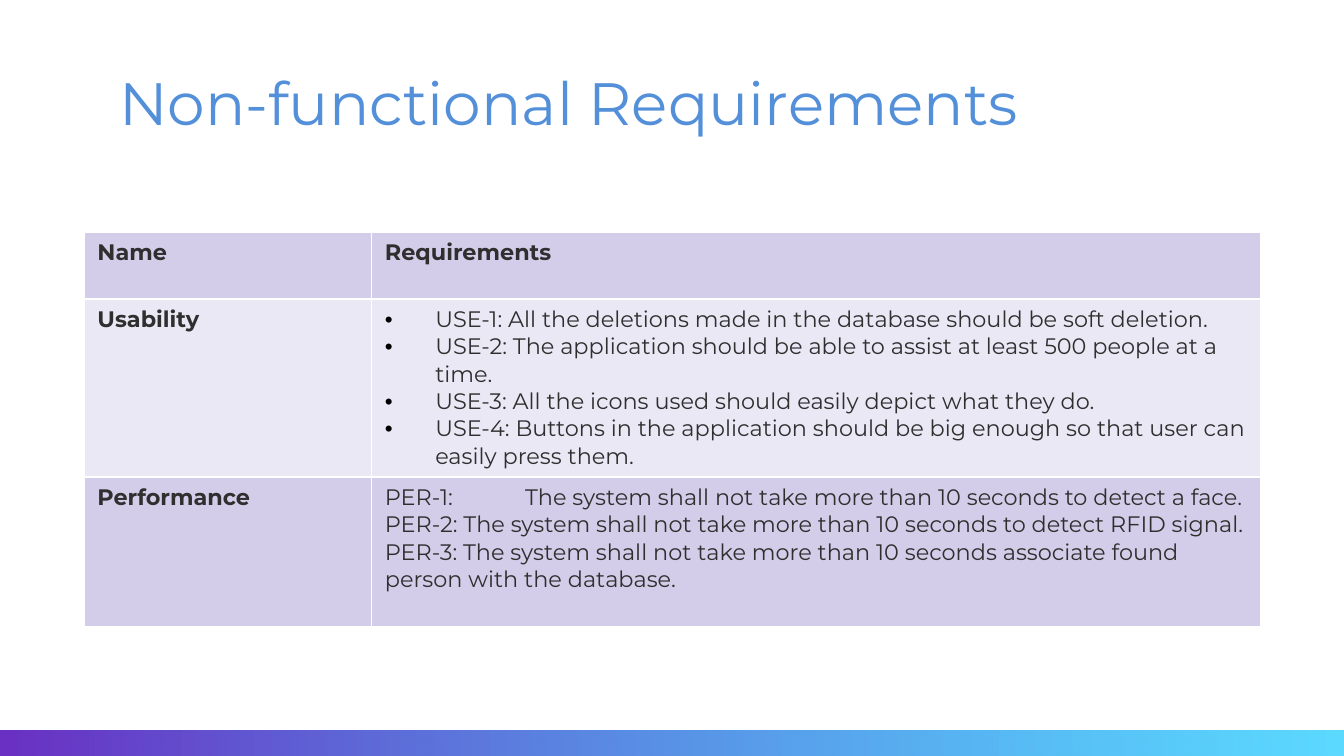
from dataclasses import dataclass

from lxml.etree import SubElement
from pptx import Presentation
from pptx.dml.color import RGBColor as RGB
from pptx.enum.shapes import MSO_SHAPE as Shape
from pptx.enum.text import MSO_ANCHOR as Anchor
from pptx.oxml.ns import qn
from pptx.util import Pt


@dataclass(frozen=True)
class Theme:
    font: str = "Montserrat"
    title_size: int = 32
    body_size: int = 12
    title: str = "5390D9"
    text: str = "2F2F2F"
    bullet: str = "000000"
    bands: tuple = ("D4CDE9", "EBE8F5")
    border: str = "FFFFFF"
    bar_start: str = "6930C3"
    bar_end: str = "00C4FF"
    bar_end_opacity: int = 64


THEME = Theme()
SLIDE_WIDTH, SLIDE_HEIGHT = 720, 405
COLUMN_WIDTHS = (154, 476.6)
ROW_HEIGHTS = (36, 95.4, 80)
BULLET_INDENT = 27

# Each row: name, requirement lines, whether the lines are bulleted
ROWS = (
    ("Name", ("Requirements",), False),
    ("Usability", (
        "USE-1: All the deletions made in the database should be soft deletion.",
        "USE-2: The application should be able to assist at least 500 people at a time.",
        "USE-3: All the icons used should easily depict what they do.",
        "USE-4: Buttons in the application should be big enough so that user can easily press them.",
    ), True),
    ("Performance", (
        "PER-1:\t The system shall not take more than 10 seconds to detect a face.",
        "PER-2: The system shall not take more than 10 seconds to detect RFID signal.",
        "PER-3: The system shall not take more than 10 seconds associate found person with the database.",
    ), False),
)


def add_run(paragraph, text, size, color, bold=False):
    run = paragraph.add_run()
    run.text = text
    run.font.name = THEME.font
    run.font.size = Pt(size)
    run.font.bold = bold
    run.font.color.rgb = RGB.from_string(color)


def add_bottom_bar(slide):
    height = 13.7
    bar = slide.shapes.add_shape(
        Shape.RECTANGLE, 0, Pt(SLIDE_HEIGHT - height), Pt(SLIDE_WIDTH), Pt(height))
    bar.shadow.inherit = False
    bar.line.fill.background()
    bar.fill.gradient()
    bar.fill.gradient_angle = 0
    for stop, color in zip(bar.fill.gradient_stops, (THEME.bar_start, THEME.bar_end)):
        stop.color.rgb = RGB.from_string(color)
    end_color = list(bar._element.spPr.iter(qn("a:srgbClr")))[-1]
    SubElement(end_color, qn("a:alpha"), val=str(THEME.bar_end_opacity * 1000))


def add_title(slide, text):
    frame = slide.shapes.add_textbox(Pt(56.9), Pt(28.1), Pt(607), Pt(48.2)).text_frame
    frame.word_wrap = True
    frame.vertical_anchor = Anchor.TOP
    frame.margin_left = frame.margin_right = Pt(7.2)
    frame.margin_top = frame.margin_bottom = Pt(7.2)
    add_run(frame.paragraphs[0], text, THEME.title_size, THEME.title)


def add_bullet(paragraph):
    properties = paragraph._p.get_or_add_pPr()
    indent = Pt(BULLET_INDENT)
    properties.set("marL", str(indent))
    properties.set("indent", str(-indent))
    color = SubElement(properties, qn("a:buClr"))
    SubElement(color, qn("a:srgbClr"), val=THEME.bullet)
    SubElement(properties, qn("a:buFont"), typeface="Arial")
    SubElement(properties, qn("a:buChar"), char="•")


def style_cell(cell, color):
    """Add the borders, then the fill, in the order the format requires."""
    properties = cell._tc.get_or_add_tcPr()
    for side in ("a:lnL", "a:lnR", "a:lnT", "a:lnB"):
        line = SubElement(properties, qn(side), w=str(Pt(1)))
        fill = SubElement(line, qn("a:solidFill"))
        SubElement(fill, qn("a:srgbClr"), val=THEME.border)
    cell.fill.solid()
    cell.fill.fore_color.rgb = RGB.from_string(color)


def write_cell(cell, lines, bold, bulleted=False):
    frame = cell.text_frame
    for index, line in enumerate(lines):
        paragraph = frame.add_paragraph() if index else frame.paragraphs[0]
        if bulleted:
            add_bullet(paragraph)
        add_run(paragraph, line, THEME.body_size, THEME.text, bold)


def add_requirements_table(slide):
    table = slide.shapes.add_table(
        len(ROWS), len(COLUMN_WIDTHS), Pt(45), Pt(124.2),
        Pt(sum(COLUMN_WIDTHS)), Pt(sum(ROW_HEIGHTS))).table
    table.first_row = table.horz_banding = False
    for column, width in zip(table.columns, COLUMN_WIDTHS):
        column.width = Pt(width)
    for index, (name, lines, bulleted) in enumerate(ROWS):
        row = table.rows[index]
        row.height = Pt(ROW_HEIGHTS[index])
        for cell in row.cells:
            style_cell(cell, THEME.bands[index % 2])
        write_cell(row.cells[0], (name,), bold=True)
        write_cell(row.cells[1], lines, bold=index == 0, bulleted=bulleted)


def main():
    presentation = Presentation()
    presentation.slide_width = Pt(SLIDE_WIDTH)
    presentation.slide_height = Pt(SLIDE_HEIGHT)
    slide = presentation.slides.add_slide(presentation.slide_layouts[6])
    add_bottom_bar(slide)
    add_title(slide, "Non-functional Requirements")
    add_requirements_table(slide)
    presentation.save("out.pptx")


if __name__ == "__main__":
    main()
